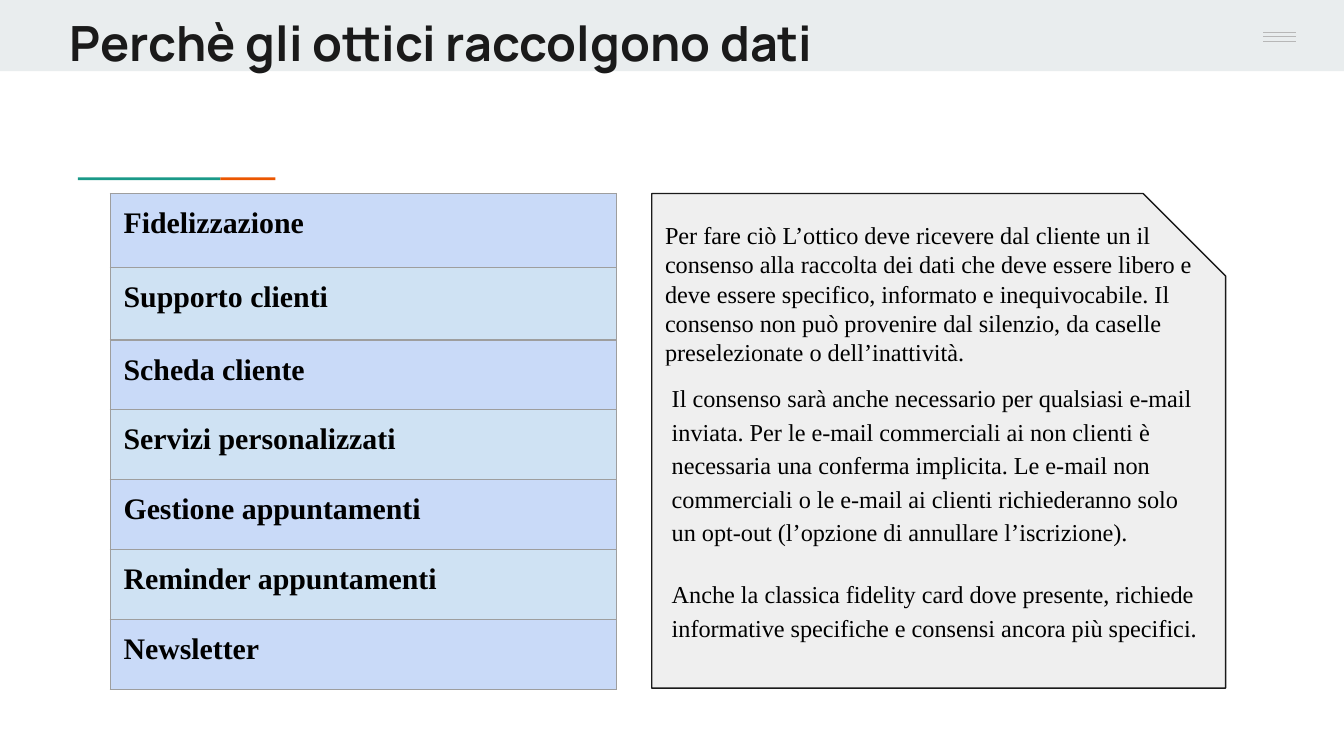
from lxml.etree import SubElement
from pptx import Presentation
from pptx.dml.color import RGBColor
from pptx.enum.shapes import MSO_CONNECTOR, MSO_SHAPE
from pptx.enum.text import MSO_ANCHOR, MSO_AUTO_SIZE, PP_ALIGN
from pptx.oxml.ns import qn
from pptx.util import Inches, Pt

INK = RGBColor(0x1A, 0x1A, 0x1A)
BLACK = RGBColor(0x00, 0x00, 0x00)
BAR = RGBColor(0xE9, 0xED, 0xEE)
TEAL = RGBColor(0x1A, 0x99, 0x88)
ORANGE = RGBColor(0xEB, 0x56, 0x00)
PANEL = RGBColor(0xEF, 0xEF, 0xEF)
MENU_GREY = RGBColor(0xB7, 0xB7, 0xB7)
ROW_FILLS = RGBColor(0xC9, 0xDA, 0xF8), RGBColor(0xCF, 0xE2, 0xF3)
BORDER = "9E9E9E"
SERIF = "Times New Roman"

TITLE = "Perchè gli ottici raccolgono dati"
# Purpose, row height
PURPOSES = [
    ("Fidelizzazione", 0.55),
    ("Supporto clienti", 0.54),
    ("Scheda cliente", 0.52),
    ("Servizi personalizzati", 0.52),
    ("Gestione appuntamenti", 0.52),
    ("Reminder appuntamenti", 0.52),
    ("Newsletter", 0.52),
]
CONSENT = (
    "Per fare ciò L’ottico deve ricevere dal cliente un il consenso alla raccolta "
    "dei dati che deve essere libero e deve essere specifico, informato e "
    "inequivocabile. Il consenso non può provenire dal silenzio, da caselle "
    "preselezionate o dell’inattività.")
# Text, box
DETAILS = [
    ("Il consenso sarà anche necessario per qualsiasi e-mail inviata. Per le e-mail "
     "commerciali ai non clienti è necessaria una conferma implicita. Le e-mail non "
     "commerciali o le e-mail ai clienti richiederanno solo un opt-out (l’opzione di "
     "annullare l’iscrizione).", (4.9, 2.72, 4.14, 1.45)),
    ("Anche la classica fidelity card dove presente, richiede informative specifiche "
     "e consensi ancora più specifici.", (4.9, 4.18, 4.14, 0.89)),
]


def write(tf, text, size, font=SERIF, color=BLACK, bold=False, spacing=1.0):
    tf.word_wrap = True
    tf.auto_size = MSO_AUTO_SIZE.NONE
    tf.vertical_anchor = MSO_ANCHOR.TOP
    tf.margin_left = tf.margin_right = tf.margin_top = tf.margin_bottom = Inches(0.1)
    p = tf.paragraphs[0]
    p.alignment = PP_ALIGN.LEFT
    p.line_spacing = spacing
    add_run(p, text, size, font, color, bold)


def add_run(p, text, size, font, color, bold):
    r = p.add_run()
    r.text = text
    r.font.size, r.font.name, r.font.bold = Pt(size), font, bold
    r.font.color.rgb = color


def add_box(s, box, fill, kind=MSO_SHAPE.RECTANGLE, line=None):
    sp = s.shapes.add_shape(kind, *map(Inches, box))
    sp.shadow.inherit = False
    sp.fill.solid()
    sp.fill.fore_color.rgb = fill
    if line is None:
        sp.line.fill.background()
    else:
        sp.line.color.rgb = line
        sp.line.width = Pt(0.75)
    return sp


def add_menu_icon(s):
    add_box(s, (9.06, 0, 0.94, 0.5), BAR)
    for y in (0.24, 0.27, 0.31):
        line = s.shapes.add_connector(
            MSO_CONNECTOR.STRAIGHT, Inches(9.4), Inches(y), Inches(9.64), Inches(y))
        line.line.color.rgb = MENU_GREY
        line.line.width = Pt(0.75)
        SubElement(line.element.spPr, qn("a:effectLst"))


def style_cell(cell, fill):
    """Outline the cell on all four sides, then fill it."""
    tc_pr = cell._tc.get_or_add_tcPr()
    for side in ("a:lnL", "a:lnR", "a:lnT", "a:lnB"):
        ln = SubElement(tc_pr, qn(side), w=str(Pt(0.75)))
        SubElement(SubElement(ln, qn("a:solidFill")), qn("a:srgbClr"), val=BORDER)
    cell.fill.solid()
    cell.fill.fore_color.rgb = fill


def add_purposes(s):
    height = sum(h for _, h in PURPOSES)
    table = s.shapes.add_table(
        len(PURPOSES), 1, Inches(0.82), Inches(1.44), Inches(3.77), Inches(height)).table
    table.first_row = table.horz_banding = False
    for i, (text, h) in enumerate(PURPOSES):
        table.rows[i].height = Inches(h)
        cell = table.cell(i, 0)
        style_cell(cell, ROW_FILLS[i % 2])
        cell.margin_left = cell.margin_right = Inches(0.1)
        cell.margin_top = cell.margin_bottom = Inches(0.1)
        add_run(cell.text_frame.paragraphs[0], text, 16, SERIF, BLACK, True)


def main():
    prs = Presentation()
    prs.slide_width = Inches(10)
    prs.slide_height = prs.slide_width * 9 // 16
    s = prs.slides.add_slide(prs.slide_layouts[5])

    add_box(s, (0, 0, 10, 0.53), BAR)
    add_box(s, (0.58, 1.32, 1.06, 0.02), TEAL)
    add_box(s, (1.64, 1.32, 0.41, 0.02), ORANGE)
    add_menu_icon(s)
    panel = add_box(s, (4.85, 1.44, 4.27, 3.68), PANEL, MSO_SHAPE.SNIP_1_RECTANGLE, INK)
    panel.adjustments[0] = 0.167

    title = s.shapes.title
    title.left, title.top, title.width, title.height = map(Inches, (0.42, 0, 8.41, 0.59))
    write(title.text_frame, TITLE, 26, font="Manrope", color=INK, bold=True)
    title.element.getparent().append(title.element)  # in front of the bar

    add_purposes(s)
    consent = s.shapes.add_textbox(*map(Inches, (4.85, 1.54, 4.33, 1.18)))
    write(consent.text_frame, CONSENT, 13)
    for text, box in DETAILS:
        write(add_box(s, box, PANEL).text_frame, text, 13, spacing=1.15)

    prs.save("out.pptx")


if __name__ == "__main__":
    main()
